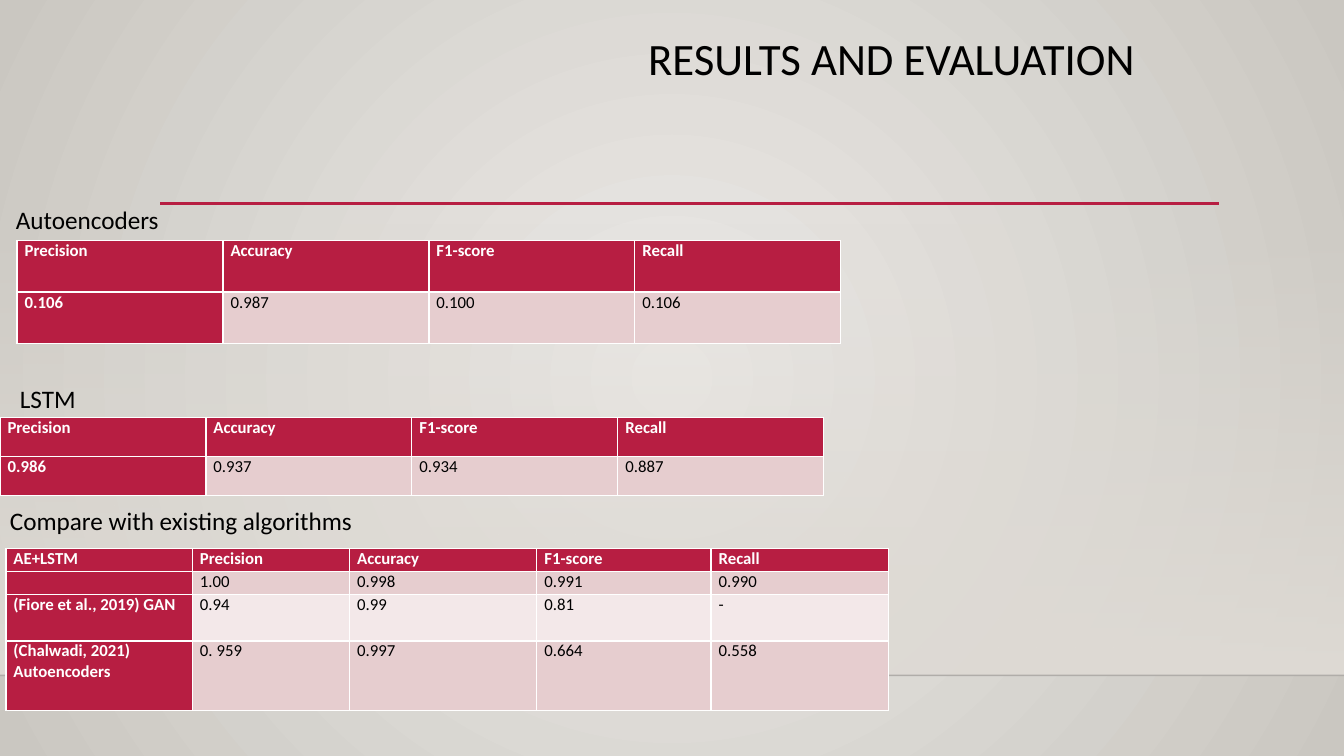
from dataclasses import dataclass

from lxml.etree import SubElement
from pptx import Presentation
from pptx.dml.color import RGBColor
from pptx.enum.shapes import MSO_CONNECTOR as Connector, MSO_SHAPE as Shape
from pptx.enum.text import MSO_ANCHOR as Anchor, MSO_AUTO_SIZE as AutoSize, PP_ALIGN as Align
from pptx.oxml.ns import qn
from pptx.util import Cm, Pt


@dataclass(frozen=True)
class Theme:
    font: str = "Calibri"
    ink: str = "000000"
    white: str = "FFFFFF"
    accent: str = "B71E42"
    bands: tuple = ("E6CDCF", "F3E8E9")
    backdrop: tuple = ("ECEAE7", "CAC7C1")
    floor: str = "DFDBD5"
    floor_edge: str = "000001"
    title_size: int = 32
    label_size: int = 18
    cell_size: int = 12


def assign(target, values):
    for name, value in values.items():
        setattr(target, name, value)


class SlideBuilder:
    def __init__(self, deck, theme):
        self.theme = theme
        self.slide = deck.slides.add_slide(deck.slide_layouts[5])

    def format_font(self, font, size, color, bold=False):
        assign(font, {"name": self.theme.font, "size": Pt(size), "bold": bold})
        font.color.rgb = RGBColor.from_string(color)

    def color_stops(self, fill, colors):
        fill.gradient()
        for stop, position, color in zip(fill.gradient_stops, (0, 1), colors):
            stop.position = position
            stop.color.rgb = RGBColor.from_string(color)

    def set_alpha(self, element, percent):
        color = next(element.iter(qn("a:srgbClr")))
        SubElement(color, qn("a:alpha"), val=str(percent * 1000))

    def background(self):
        self.color_stops(self.slide.background.fill, self.theme.backdrop)
        gradient = next(self.slide.element.iter(qn("a:gradFill")))
        gradient.remove(gradient.find(qn("a:lin")))
        circle = SubElement(gradient, qn("a:path"), path="circle")
        edges = dict.fromkeys("ltrb", "50000")
        SubElement(circle, qn("a:fillToRect"), **edges)

    def floor(self, left, top, width, height):
        box = self.slide.shapes.add_shape(
            Shape.RECTANGLE, Cm(left), Cm(top), Cm(width), Cm(height))
        box.shadow.inherit = False
        box.line.fill.background()
        self.color_stops(box.fill, (self.theme.floor, self.theme.floor))
        box.fill.gradient_angle = 270
        self.set_alpha(box.element.spPr, 0)

    def rule(self, left, right, y, color, weight, alpha=None):
        rule = self.slide.shapes.add_connector(
            Connector.STRAIGHT, Cm(left), Cm(y), Cm(right), Cm(y))
        rule.line.color.rgb = RGBColor.from_string(color)
        rule.line.width = Pt(weight)
        if alpha is not None:
            self.set_alpha(rule.line._get_or_add_ln(), alpha)
        SubElement(rule.element.spPr, qn("a:effectLst"))

    def title(self, text, left, top, width, height):
        box = self.slide.shapes.title
        assign(box, {"left": Cm(left), "top": Cm(top),
                     "width": Cm(width), "height": Cm(height)})
        assign(box.text_frame, {"text": text, "word_wrap": True,
                                "auto_size": AutoSize.NONE,
                                "vertical_anchor": Anchor.TOP})
        para = box.text_frame.paragraphs[0]
        assign(para, {"alignment": Align.LEFT, "line_spacing": 0.9})
        self.format_font(para.runs[0].font, self.theme.title_size, self.theme.ink)

    def label(self, text, left, top, width):
        box = self.slide.shapes.add_textbox(Cm(left), Cm(top), Cm(width), Cm(1.03))
        assign(box.text_frame, {"text": text, "word_wrap": False,
                                "auto_size": AutoSize.SHAPE_TO_FIT_TEXT})
        span = box.text_frame.paragraphs[0].runs[0]
        self.format_font(span.font, self.theme.label_size, self.theme.ink)

    def cell(self, cell, text, fill, color, bold):
        assign(cell, {"margin_left": Cm(0.19), "margin_right": Cm(0.19),
                      "margin_top": 0, "margin_bottom": 0})
        cell.fill.solid()
        cell.fill.fore_color.rgb = RGBColor.from_string(fill)
        para = cell.text_frame.paragraphs[0]
        if text:
            span = para.add_run()
            span.text = text
            self.format_font(span.font, self.theme.cell_size, color, bold)
        else:
            SubElement(para._p, qn("a:endParaRPr"), sz=str(self.theme.cell_size * 100))

    def table(self, left, top, widths, heights, rows):
        frame = self.slide.shapes.add_table(
            len(rows), len(widths), Cm(left), Cm(top),
            Cm(sum(widths)), Cm(sum(heights)))
        table = frame.table
        table.first_col = True
        for column, width in zip(table.columns, widths):
            column.width = Cm(width)
        for row, height in zip(table.rows, heights):
            row.height = Cm(height)
        for i, texts in enumerate(rows):
            for j, text in enumerate(texts):
                heading = i == 0 or j == 0
                fill = self.theme.accent if heading else self.theme.bands[(i - 1) % 2]
                color = self.theme.white if heading else self.theme.ink
                self.cell(table.cell(i, j), text, fill, color, heading)


METRICS = ["Precision", "Accuracy", "F1-score", "Recall"]
COMPARISON = [
    ["AE+LSTM", *METRICS],
    ["", "1.00", "0.998", "0.991", "0.990"],
    ["(Fiore et al., 2019) GAN", "0.94", "0.99", "0.81", "-"],
    ["(Chalwadi, 2021) Autoencoders", "0. 959", "0.997", "0.664", "0.558"],
]


def main():
    theme = Theme()
    deck = Presentation()
    assign(deck, {"slide_width": Cm(33.87), "slide_height": Cm(19.05)})
    page = SlideBuilder(deck, theme)
    page.background()
    page.floor(0, 5.61, 33.87, 11.41)
    page.rule(0, 33.87, 17.02, theme.floor_edge, 1, alpha=20)
    page.rule(4.04, 30.73, 5.13, theme.accent, 2.5)
    page.title("RESULTS AND EVALUATION", 16.08, 0.79, 26.67, 2.92)

    page.table(0.15, 13.82, [4.7, 3.96, 4.72, 4.39, 4.47],
               [0.58, 0.58, 1.17, 1.75], COMPARISON)
    page.table(0.43, 6.07, [5.19] * 4, [1.29] * 2,
               [METRICS, ["0.106", "0.987", "0.100", "0.106"]])
    page.table(0, 10.52, [5.19] * 4, [0.98] * 2,
               [METRICS, ["0.986", "0.937", "0.934", "0.887"]])

    page.label("Autoencoders", 0.15, 5.03, 4.22)
    page.label("Compare with existing algorithms", 0, 12.62, 9.3)
    page.label("LSTM", 0.25, 9.53, 2.01)
    deck.save("out.pptx")


if __name__ == "__main__":
    main()
